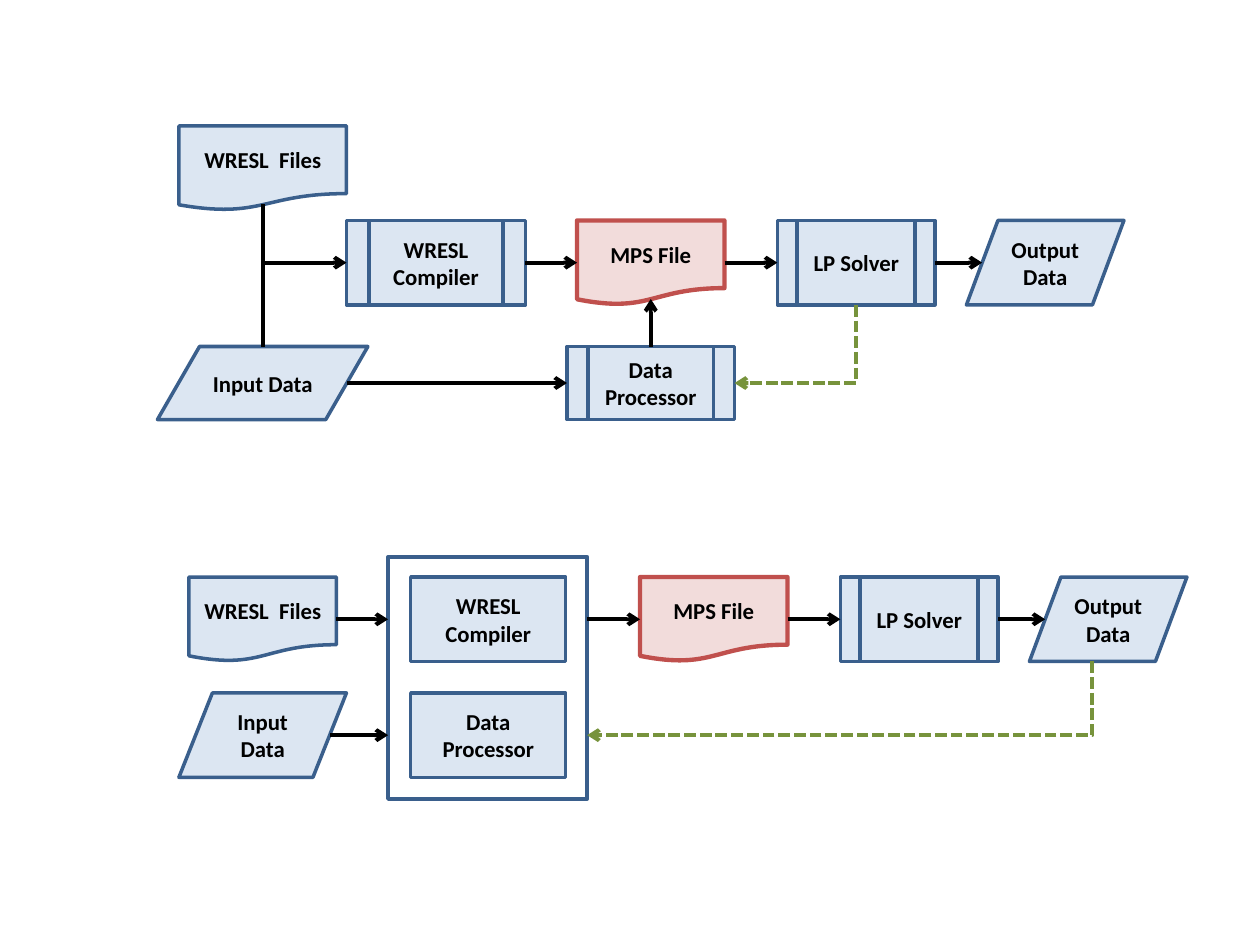
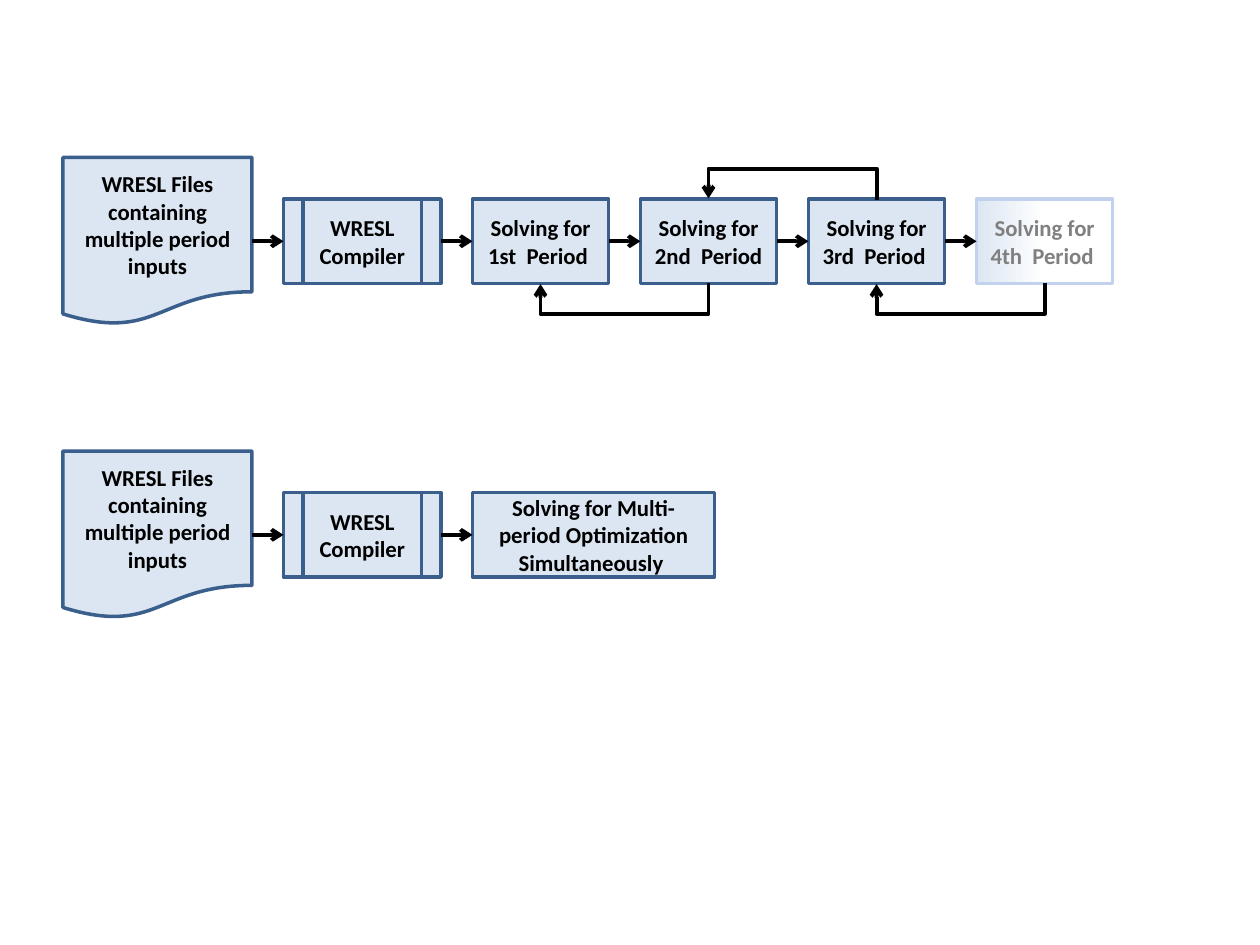
from dataclasses import dataclass
from typing import NamedTuple, Optional

from lxml.etree import SubElement
from pptx import Presentation
from pptx.dml.color import RGBColor
from pptx.enum.shapes import MSO_CONNECTOR, MSO_SHAPE
from pptx.enum.text import MSO_ANCHOR, PP_ALIGN
from pptx.oxml.ns import qn
from pptx.shapes.autoshape import Shape
from pptx.shapes.connector import Connector
from pptx.slide import Slide
from pptx.util import Inches, Pt

DATA = MSO_SHAPE.FLOWCHART_DATA
DOCUMENT = MSO_SHAPE.FLOWCHART_DOCUMENT
PREDEFINED = MSO_SHAPE.FLOWCHART_PREDEFINED_PROCESS
PROCESS = MSO_SHAPE.FLOWCHART_PROCESS
TOP, LEFT, BOTTOM, RIGHT = range(4)


class BoxStyle(NamedTuple):
    fill: Optional[str]
    line: str
    line_width: float = 2
    text: str = "000000"
    fade_to: Optional[str] = None


@dataclass(frozen=True)
class Theme:
    font: str = "Calibri"
    text_size: float = 13
    arrow: str = "000000"
    feedback: str = "77933C"
    arrow_width: float = 2.25
    step: BoxStyle = BoxStyle("DCE6F2", "3A5F8C")
    solver_file: BoxStyle = BoxStyle("F2DCDB", "C0504D", 2.5)
    frame: BoxStyle = BoxStyle(None, "3A5F8C", 2.25)
    faded: BoxStyle = BoxStyle("DCE6F2", "C2D1ED", text="808080", fade_to="FFFFFF")


THEME = Theme()


class Box(NamedTuple):
    kind: MSO_SHAPE
    text: str
    left: float
    top: float
    width: float
    height: float = 0.67
    style: BoxStyle = THEME.step


class Point(NamedTuple):
    x: int
    y: int


def color(value: str) -> RGBColor:
    return RGBColor.from_string(value)


def fill_box(shape: Shape, style: BoxStyle) -> None:
    if style.fill is None:
        shape.fill.background()
    elif style.fade_to is None:
        shape.fill.solid()
        shape.fill.fore_color.rgb = color(style.fill)
    else:
        shape.fill.gradient()
        shape.fill.gradient_angle = 0
        stops = zip(shape.fill.gradient_stops, (0, 0.5), (style.fill, style.fade_to))
        for stop, position, value in stops:
            stop.position = position
            stop.color.rgb = color(value)


def draw_box(slide: Slide, box: Box) -> Shape:
    lengths = (Inches(n) for n in (box.left, box.top, box.width, box.height))
    shape = slide.shapes.add_shape(box.kind, *lengths)
    shape.shadow.inherit = False
    fill_box(shape, box.style)
    shape.line.color.rgb = color(box.style.line)
    shape.line.width = Pt(box.style.line_width)
    frame = shape.text_frame
    frame.word_wrap = True
    frame.vertical_anchor = MSO_ANCHOR.MIDDLE
    frame.text = box.text
    for para in frame.paragraphs:
        para.alignment = PP_ALIGN.CENTER
        for span in para.runs:
            span.font.name = THEME.font
            span.font.size = Pt(THEME.text_size)
            span.font.bold = True
            span.font.color.rgb = color(box.style.text)
    return shape


def side_point(shape: Shape, side: int) -> Point:
    """Point where a line meets the outline, allowing for slants and waves."""
    across, down = {TOP: (0.5, 0), LEFT: (0, 0.5), BOTTOM: (0.5, 1), RIGHT: (1, 0.5)}[side]
    if shape.auto_shape_type == DATA:
        across = {TOP: 0.5, LEFT: 0.1, BOTTOM: 0.4, RIGHT: 0.9}[side]
    if shape.auto_shape_type == DOCUMENT and side == BOTTOM:
        down = 0.93
    return Point(round(shape.left + shape.width * across), round(shape.top + shape.height * down))


def style_line(line: Connector, feedback: bool = False, head: bool = True) -> None:
    line.line.color.rgb = color(THEME.feedback if feedback else THEME.arrow)
    line.line.width = Pt(THEME.arrow_width)
    properties = line.element.spPr
    outline = properties.get_or_add_ln()
    if feedback:
        SubElement(outline, qn("a:prstDash"), val="sysDash")
    if head:
        SubElement(outline, qn("a:tailEnd"), type="arrow")
    SubElement(properties, qn("a:effectLst"))


def straight(slide: Slide, start: Point, end: Point, head: bool = True) -> Connector:
    line = slide.shapes.add_connector(MSO_CONNECTOR.STRAIGHT, *start, *end)
    style_line(line, head=head)
    return line


def flow(slide: Slide, source: Shape, target: Shape, row: Optional[Shape] = None) -> None:
    """Level arrow from source to target, at the middle of row (source by default)."""
    y = side_point(row or source, RIGHT).y
    start, end = side_point(source, RIGHT), side_point(target, LEFT)
    line = straight(slide, Point(start.x, y), Point(end.x, y))
    if source.auto_shape_type != DATA and start.y == y:
        line.begin_connect(source, RIGHT)
    if target.auto_shape_type != DATA and end.y == y:
        line.end_connect(target, LEFT)


def flow_chain(slide: Slide, shapes: list[Shape]) -> None:
    for source, target in zip(shapes, shapes[1:]):
        flow(slide, source, target)


def elbow(slide: Slide, source: Shape, side: int, end: Point,
          target: Optional[Shape] = None, target_side: int = RIGHT,
          reach: float = 0, feedback: bool = False) -> None:
    """Arrow that leaves by top or bottom and turns left; reach makes it a U-turn."""
    start = side_point(source, side)
    line = slide.shapes.add_connector(MSO_CONNECTOR.ELBOW, *start, *end)
    line.begin_connect(source, side)
    if target is not None:
        line.end_connect(target, target_side)
    properties = line.element.spPr
    leg = max(abs(end.y - start.y), Inches(0.01))
    run = abs(end.x - start.x)
    line.left = (start.x + end.x - leg) // 2
    line.top = (start.y + end.y - run) // 2
    line.width, line.height = leg, run
    properties.xfrm.rot = 270 if side == TOP else 90
    properties.xfrm.flipH = False
    properties.xfrm.flipV = side == TOP
    geometry = properties.find(qn("a:prstGeom"))
    if reach:
        bend = round(Inches(reach) / leg * 100000)
        SubElement(geometry.find(qn("a:avLst")), qn("a:gd"), name="adj1", fmla=f"val {bend}")
    else:
        geometry.set("prst", "bentConnector2")
    style_line(line, feedback)


def draw_file_exchange(slide: Slide) -> None:
    """Separate compiler and data processor."""
    row, lower = 1.75, 2.75
    files, compiler, mps, solver, output, inputs, processor = (
        draw_box(slide, box) for box in (
            Box(DOCUMENT, "WRESL  Files", 1.42, 1, 1.33),
            Box(PREDEFINED, "WRESL Compiler", 2.75, row, 1.42),
            Box(DOCUMENT, "MPS File", 4.58, row, 1.17, style=THEME.solver_file),
            Box(PREDEFINED, "LP Solver", 6.17, row, 1.25),
            Box(DATA, "Output\nData", 7.67, row, 1.25),
            Box(DATA, "Input Data", 1.25, lower, 1.67, 0.58),
            Box(PREDEFINED, "Data Processor", 4.5, lower, 1.33, 0.58),
        ))
    flow_chain(slide, [compiler, mps, solver, output])
    flow(slide, inputs, processor)
    trunk = side_point(files, BOTTOM)
    straight(slide, trunk, Point(trunk.x, inputs.top), head=False)
    entry = side_point(compiler, LEFT)
    straight(slide, Point(trunk.x, entry.y), entry).end_connect(compiler, LEFT)
    rise = side_point(processor, TOP)
    straight(slide, rise, Point(rise.x, side_point(mps, BOTTOM).y)).begin_connect(processor, TOP)
    elbow(slide, solver, BOTTOM, side_point(processor, RIGHT), processor, feedback=True)


def draw_joint_processing(slide: Slide) -> None:
    """Compiler and data processor inside one frame."""
    row, lower = 4.58, 5.5
    files, inputs, compiler, processor, frame, mps, solver, output = (
        draw_box(slide, box) for box in (
            Box(DOCUMENT, "WRESL  Files", 1.5, row, 1.17),
            Box(DATA, "Input Data", 1.42, lower, 1.33),
            Box(PROCESS, "WRESL Compiler", 3.26, row, 1.23),
            Box(PROCESS, "Data Processor", 3.26, lower, 1.23),
            Box(PROCESS, "", 3.08, 4.42, 1.58, 1.92, THEME.frame),
            Box(DOCUMENT, "MPS File", 5.08, row, 1.17, style=THEME.solver_file),
            Box(PREDEFINED, "LP Solver", 6.67, row, 1.25),
            Box(DATA, "Output\nData", 8.17, row, 1.25),
        ))
    flow(slide, files, frame)
    flow(slide, inputs, frame)
    flow(slide, frame, mps, row=compiler)
    flow_chain(slide, [mps, solver, output])
    end = Point(side_point(frame, RIGHT).x, side_point(processor, RIGHT).y)
    elbow(slide, output, BOTTOM, end, feedback=True)


def draw_period_start(slide: Slide, top: float) -> list[Shape]:
    return [draw_box(slide, box) for box in (
        Box(DOCUMENT, "WRESL Files containing multiple period inputs", 0.5, top, 1.5, 1.33),
        Box(PREDEFINED, "WRESL Compiler", 2.25, top + 0.33, 1.25),
    )]


def draw_period_by_period(slide: Slide) -> None:
    top = 1.25
    start = draw_period_start(slide, top)
    periods = [
        draw_box(slide, Box(PROCESS, f"Solving for {ordinal}  Period ", 3.75 + index * 4 / 3,
                            top + 0.33, 1.08,
                            style=THEME.faded if ordinal == "4th" else THEME.step))
        for index, ordinal in enumerate(("1st", "2nd", "3rd", "4th"))
    ]
    flow_chain(slide, start + periods)
    for index, (earlier, later) in enumerate(zip(periods, periods[1:])):
        side = TOP if index % 2 else BOTTOM
        elbow(slide, later, side, side_point(earlier, side), earlier, side, reach=0.25)


def draw_simultaneous(slide: Slide) -> None:
    top = 3.58
    start = draw_period_start(slide, top)
    solving = draw_box(slide, Box(
        PROCESS, "Solving for Multi-period Optimization Simultaneously ", 3.75, top + 0.33, 1.92))
    flow_chain(slide, start + [solving])


def main() -> None:
    deck = Presentation()
    deck.slide_width, deck.slide_height = Inches(10), Inches(7.5)
    pages = ((draw_file_exchange, draw_joint_processing),
             (draw_period_by_period, draw_simultaneous))
    for diagrams in pages:
        page = deck.slides.add_slide(deck.slide_layouts[6])
        for draw_diagram in diagrams:
            draw_diagram(page)
    deck.save("out.pptx")


if __name__ == "__main__":
    main()
